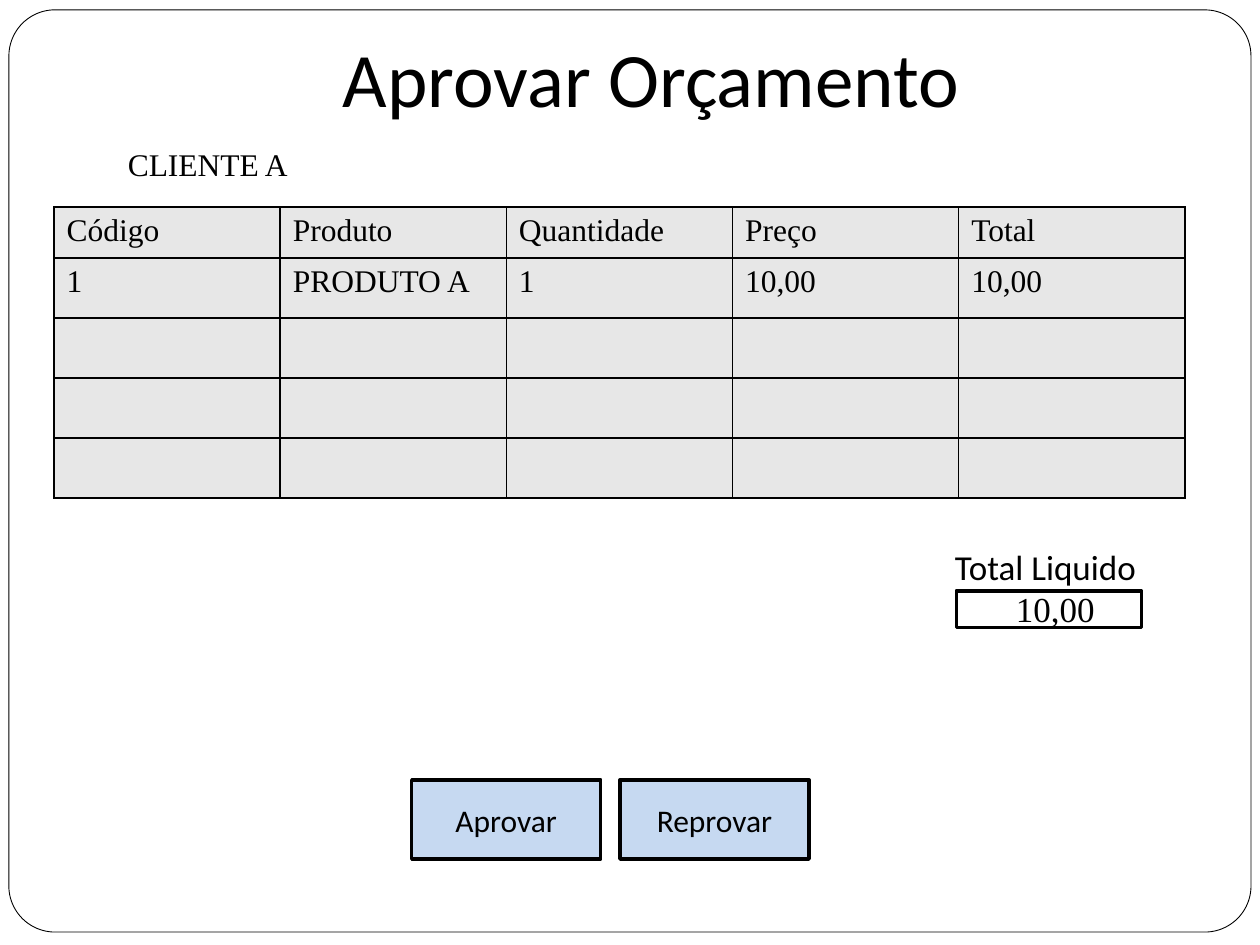
import pptx
import pptx.dml.color
import pptx.enum.shapes
import pptx.enum.text
import pptx.oxml
import pptx.oxml.ns
import pptx.util
from lxml import etree
from pptx.util import Cm, Pt

TITLE = "Aprovar Orçamento"
CLIENT = "CLIENTE A"
ROWS = [
    ["Código", "Produto", "Quantidade", "Preço", "Total"],
    ["1", "PRODUTO A", "1", "10,00", "10,00"],
    [""] * 5,
    [""] * 5,
    [""] * 5,
]
NET_TOTAL = [("Total Liquido", "Calibri"), ("10,00", "Times New Roman")]
BUTTONS = ["Aprovar", "Reprovar"]

BLACK, WHITE, GREY, BLUE = "000000", "FFFFFF", "E7E7E7", "C6D9F1"
TABLE_LEFT, TABLE_TOP = 1.09, 4.17
COLUMN_WIDTH, HEADER_HEIGHT, ROW_HEIGHT = 4.56, 1.03, 1.21
BUTTON_LEFT, BUTTON_TOP, BUTTON_STEP = 8.3, 15.72, 4.2
VALUE_INDENT = 1.23

RECTANGLE = pptx.enum.shapes.MSO_SHAPE.RECTANGLE
ROUNDED = pptx.enum.shapes.MSO_SHAPE.ROUNDED_RECTANGLE
CENTER = pptx.enum.text.PP_ALIGN.CENTER
MIDDLE = pptx.enum.text.MSO_ANCHOR.MIDDLE


def color(value):
    return pptx.dml.color.RGBColor.from_string(value)


def format_paragraph(paragraph, name, size, alignment=None):
    paragraph.alignment = alignment
    paragraph.font.name = name
    paragraph.font.size = Pt(size)
    paragraph.font.color.rgb = color(BLACK)


def add_box(slide, kind, box, fill, line_width):
    shape = slide.shapes.add_shape(kind, *map(Cm, box))
    shape.shadow.inherit = False
    shape.fill.solid()
    shape.fill.fore_color.rgb = color(fill)
    shape.line.color.rgb = color(BLACK)
    shape.line.width = Pt(line_width)
    return shape


def add_text_box(slide, box):
    frame = slide.shapes.add_textbox(*map(Cm, box)).text_frame
    frame.word_wrap = True
    return frame


def set_cell_borders(cell):
    properties = cell._tc.get_or_add_tcPr()
    for position, side in enumerate(("a:lnL", "a:lnR", "a:lnT", "a:lnB")):
        line = etree.Element(pptx.oxml.ns.qn(side), w=str(Pt(1)))
        fill = etree.SubElement(line, pptx.oxml.ns.qn("a:solidFill"))
        etree.SubElement(fill, pptx.oxml.ns.qn("a:srgbClr"), val=BLACK)
        properties.insert(position, line)


def add_budget_table(slide):
    columns = len(ROWS[0])
    height = HEADER_HEIGHT + ROW_HEIGHT * (len(ROWS) - 1)
    table = slide.shapes.add_table(
        len(ROWS), columns, Cm(TABLE_LEFT), Cm(TABLE_TOP),
        Cm(COLUMN_WIDTH * columns), Cm(height)).table
    table.first_row = table.horz_banding = False
    for column in table.columns:
        column.width = Cm(COLUMN_WIDTH)
    for index, values in enumerate(ROWS):
        table.rows[index].height = Cm(ROW_HEIGHT if index else HEADER_HEIGHT)
        for cell, value in zip(table.rows[index].cells, values):
            cell.text = value
            format_paragraph(cell.text_frame.paragraphs[0], "Times New Roman", 18)
            cell.fill.solid()
            cell.fill.fore_color.rgb = color(GREY)
            set_cell_borders(cell)


def main():
    presentation = pptx.Presentation()
    presentation.slide_width, presentation.slide_height = Cm(25.4), Cm(19.05)
    slide = presentation.slides.add_slide(presentation.slide_layouts[5])

    title = slide.shapes.title
    title.left, title.top, title.width, title.height = map(Cm, (1.7, 0.36, 22.86, 2.36))
    title.text_frame.text = TITLE
    title.text_frame.vertical_anchor = MIDDLE
    title.text_frame.auto_size = pptx.enum.text.MSO_AUTO_SIZE.NONE
    format_paragraph(title.text_frame.paragraphs[0], "Calibri", 44, CENTER)

    border = add_box(slide, ROUNDED, (0.18, 0.2, 25.04, 18.59), WHITE, 0.5)
    border.adjustments[0] = 0.05
    title.element.addprevious(border.element)  # the border lies behind the title

    client = add_text_box(slide, (1.09, 2.72, 6.2, 1.19))
    client.text = CLIENT
    client.vertical_anchor = MIDDLE
    format_paragraph(client.paragraphs[0], "Times New Roman", 18, CENTER)

    for index, label in enumerate(BUTTONS):
        left = BUTTON_LEFT + index * BUTTON_STEP
        button = add_box(slide, RECTANGLE, (left, BUTTON_TOP, 3.81, 1.6), BLUE, 2)
        button.text_frame.text = label
        button.text_frame.vertical_anchor = MIDDLE
        format_paragraph(button.text_frame.paragraphs[0], "Calibri", 18, CENTER)

    add_budget_table(slide)

    add_box(slide, RECTANGLE, (19.28, 11.91, 3.73, 0.74), WHITE, 2)
    total = add_text_box(slide, (19, 10.87, 5.79, 1.12))
    total.text = "\n".join(text for text, _ in NET_TOTAL)
    for paragraph, (_, font) in zip(total.paragraphs, NET_TOTAL):
        format_paragraph(paragraph, font, 20)
    total.paragraphs[1]._p.get_or_add_pPr().set("marL", str(Cm(VALUE_INDENT)))

    presentation.save("out.pptx")


if __name__ == "__main__":
    main()
